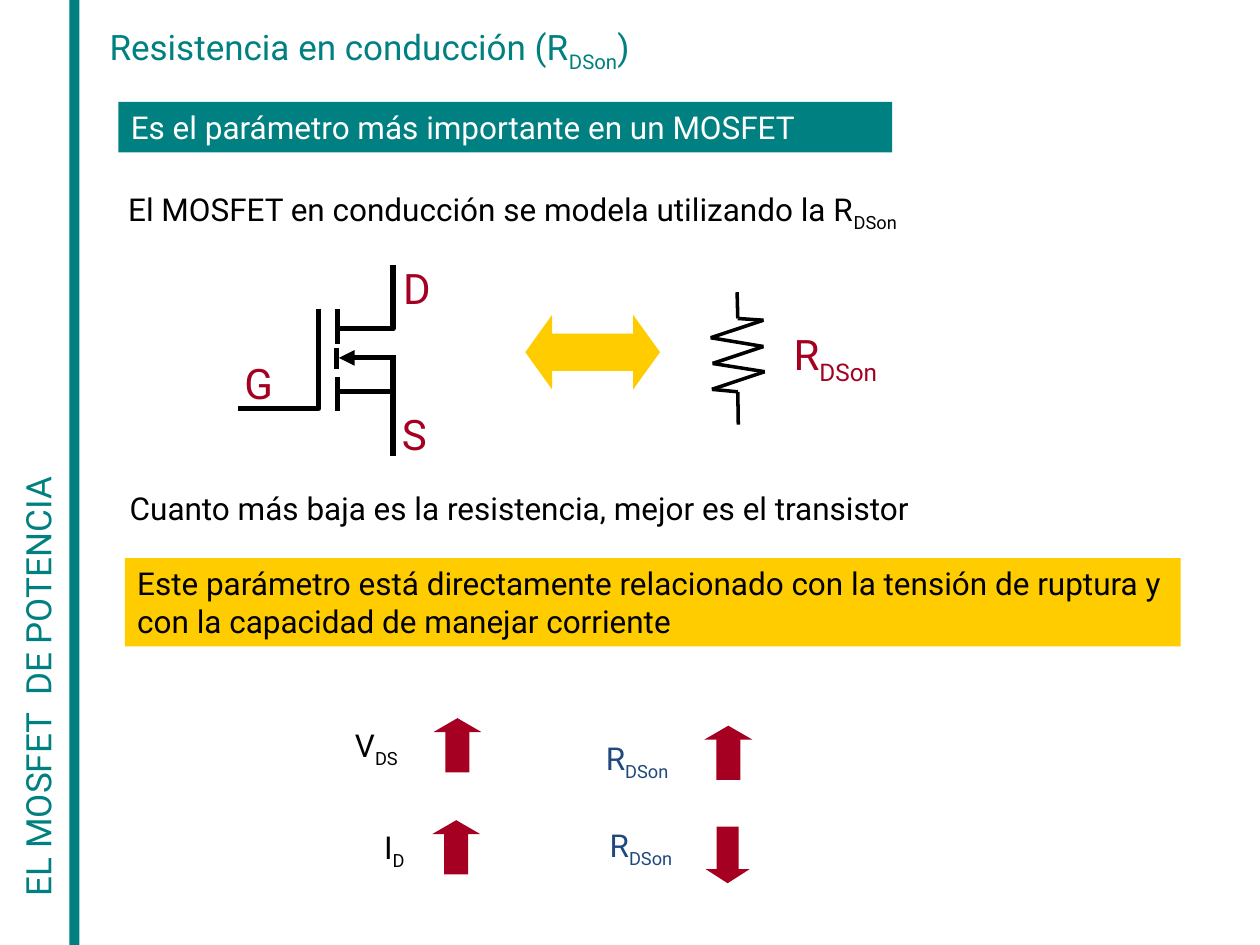
from dataclasses import dataclass
from itertools import pairwise

from lxml.etree import SubElement
from pptx import Presentation
from pptx.dml.color import RGBColor as Color
from pptx.enum.shapes import MSO_CONNECTOR as Connector, MSO_SHAPE as Preset
from pptx.enum.text import MSO_ANCHOR as Anchor, MSO_AUTO_SIZE as AutoSize, PP_ALIGN as Align
from pptx.oxml.ns import qn
from pptx.util import Pt


@dataclass(frozen=True)
class Theme:
    font: str = "Roboto"
    teal: Color = Color(0x00, 0x80, 0x80)
    yellow: Color = Color(0xFF, 0xCC, 0x00)
    red: Color = Color(0xA5, 0x00, 0x21)
    blue: Color = Color(0x1F, 0x49, 0x7D)
    black: Color = Color(0, 0, 0)
    white: Color = Color(0xFF, 0xFF, 0xFF)
    heading: int = 20
    body: int = 18
    symbol: int = 24


THEME = Theme()


def points(*values):
    return [Pt(value) for value in values]


def write_text(shape, text, size, color, wrap=True):
    frame = shape.text_frame
    frame.auto_size = AutoSize.NONE
    frame.word_wrap = wrap
    frame.vertical_anchor = Anchor.TOP
    paragraph = frame.paragraphs[0]
    paragraph.alignment = Align.LEFT
    paragraph.space_before = Pt(0)
    for index, part in enumerate(text.split("_")):
        run = paragraph.add_run()
        run.text = part
        if index == 1:
            run.font._element.set("baseline", "-25000")
    font = paragraph.font
    font.name, font.size = THEME.font, Pt(size)
    font.color.rgb = color


def add_label(shapes, box, text, size=THEME.body, color=THEME.black, wrap=True):
    label = shapes.add_textbox(*points(*box))
    write_text(label, text, size, color, wrap)
    return label


def add_block(shapes, preset, box, fill, adjustments=()):
    block = shapes.add_shape(preset, *points(*box))
    block.shadow.inherit = False
    block.fill.solid()
    block.fill.fore_color.rgb = fill
    block.line.fill.background()
    for index, value in enumerate(adjustments):
        block.adjustments[index] = value
    return block


def add_banner(shapes, box, text, fill, color):
    write_text(add_block(shapes, Preset.RECTANGLE, box, fill), text, THEME.body, color)


def add_line(shapes, start, end, width, arrow=False):
    line = shapes.add_connector(Connector.STRAIGHT, *points(*start, *end))
    line.line.color.rgb = THEME.black
    line.line.width = Pt(width)
    properties = line._element.spPr
    if arrow:
        SubElement(properties.find(qn("a:ln")), qn("a:headEnd"), type="triangle")
    SubElement(properties, qn("a:effectLst"))


def add_wire(shapes, start, *corners):
    builder = shapes.build_freeform(*points(*start))
    builder.add_line_segments([points(*corner) for corner in corners], close=False)
    wire = builder.convert_to_shape()
    wire.shadow.inherit = False
    wire.fill.background()
    wire.line.color.rgb = THEME.black
    wire.line.width = Pt(3)


def add_transistor(slide):
    shapes = slide.shapes.add_group_shape().shapes
    channel, terminal = 194.4, 224.6
    add_line(shapes, (193.7, 204.5), (terminal, 204.5), 3, arrow=True)
    for letter, left, top in (("G", 132.5, 200.9), ("D", 223.2, 146.2), ("S", 222.5, 229.7)):
        add_label(shapes, (left, top, 32, 36), letter, THEME.symbol, THEME.red, wrap=False)
    for inner, outer in ((223.9, 260.6), (187.9, 151.2)):
        add_wire(shapes, (channel, inner), (terminal, inner), (terminal, outer))
    add_wire(shapes, (182.2, 176.4), (182.2, 233.3), (136.1, 233.3))
    for x, top, bottom in ((193, 215.3, 234.7), (193, 176.4, 196.6),
                           (192.2, 198.7, 211), (terminal, 203, 224.6)):
        add_line(shapes, (x, top), (x, bottom), 3)


def add_resistor(slide):
    shapes = slide.shapes.add_group_shape().shapes
    zigzag = [(421.2, 167), (421.6, 182), (436.3, 183), (406.1, 193), (436.3, 198),
              (407.2, 207.7), (437, 212.4), (406.8, 222.5), (421.6, 223.9), (421.9, 242.6)]
    for start, end in pairwise(zigzag):
        add_line(shapes, start, end, 2)


def add_title(slide):
    title = slide.shapes.title
    title.left, title.top, title.width, title.height = points(55.4, 10.8, 344.2, 31)
    write_text(title, "Resistencia en conducción (R_DSon_)", THEME.heading, THEME.teal)


def add_sidebar(shapes):
    add_block(shapes, Preset.RECTANGLE, (39.6, 0, 5.8, 540), THEME.teal)
    section = add_label(shapes, (-231.1, 251.3, 504.7, 31), "EL MOSFET  DE POTENCIA",
                        THEME.heading, THEME.teal)
    section.rotation = 270


def add_trends(shapes):
    labels = (("V_DS", 195.8, 411.1, THEME.black), ("R_DSon", 339.1, 419, THEME.blue),
              ("I_D", 212.4, 469.4, THEME.black), ("R_DSon", 341.3, 468.7, THEME.blue))
    for text, left, top, color in labels:
        add_label(shapes, (left, top, 75, 29), text, color=color)
    for left, top in ((247.7, 410.4), (402.5, 414.7), (247, 468.7)):
        add_block(shapes, Preset.UP_ARROW, (left, top, 27.4, 31), THEME.red, (0.5, 0.29))
    add_block(shapes, Preset.DOWN_ARROW, (403.2, 472.3, 25.2, 32.4), THEME.red, (0.5, 0.32))


def main():
    presentation = Presentation()
    presentation.slide_width, presentation.slide_height = points(720, 540)
    slide = presentation.slides.add_slide(presentation.slide_layouts[5])
    shapes = slide.shapes
    add_sidebar(shapes)
    add_title(slide)
    add_banner(shapes, (67.7, 58.3, 442.1, 28.8),
               "Es el parámetro más importante en un MOSFET", THEME.teal, THEME.white)
    add_label(shapes, (66.2, 105.1, 552.2, 28.8),
              "El MOSFET en conducción se modela utilizando la R_DSon")
    add_transistor(slide)
    add_block(shapes, Preset.LEFT_RIGHT_ARROW, (300.2, 180, 77, 42.5), THEME.yellow, (0.5, 0.36))
    add_resistor(slide)
    add_label(shapes, (446.4, 184.3, 102.2, 36), "R_DSon", THEME.symbol, THEME.red)
    add_label(shapes, (67, 275.8, 510.5, 28.8),
              "Cuanto más baja es la resistencia, mejor es el transistor")
    add_banner(shapes, (71.3, 319, 603.4, 50.4),
               "Este parámetro está directamente relacionado con la tensión de ruptura y "
               "con la capacidad de manejar corriente", THEME.yellow, THEME.black)
    add_trends(shapes)
    presentation.save("out.pptx")


if __name__ == "__main__":
    main()
